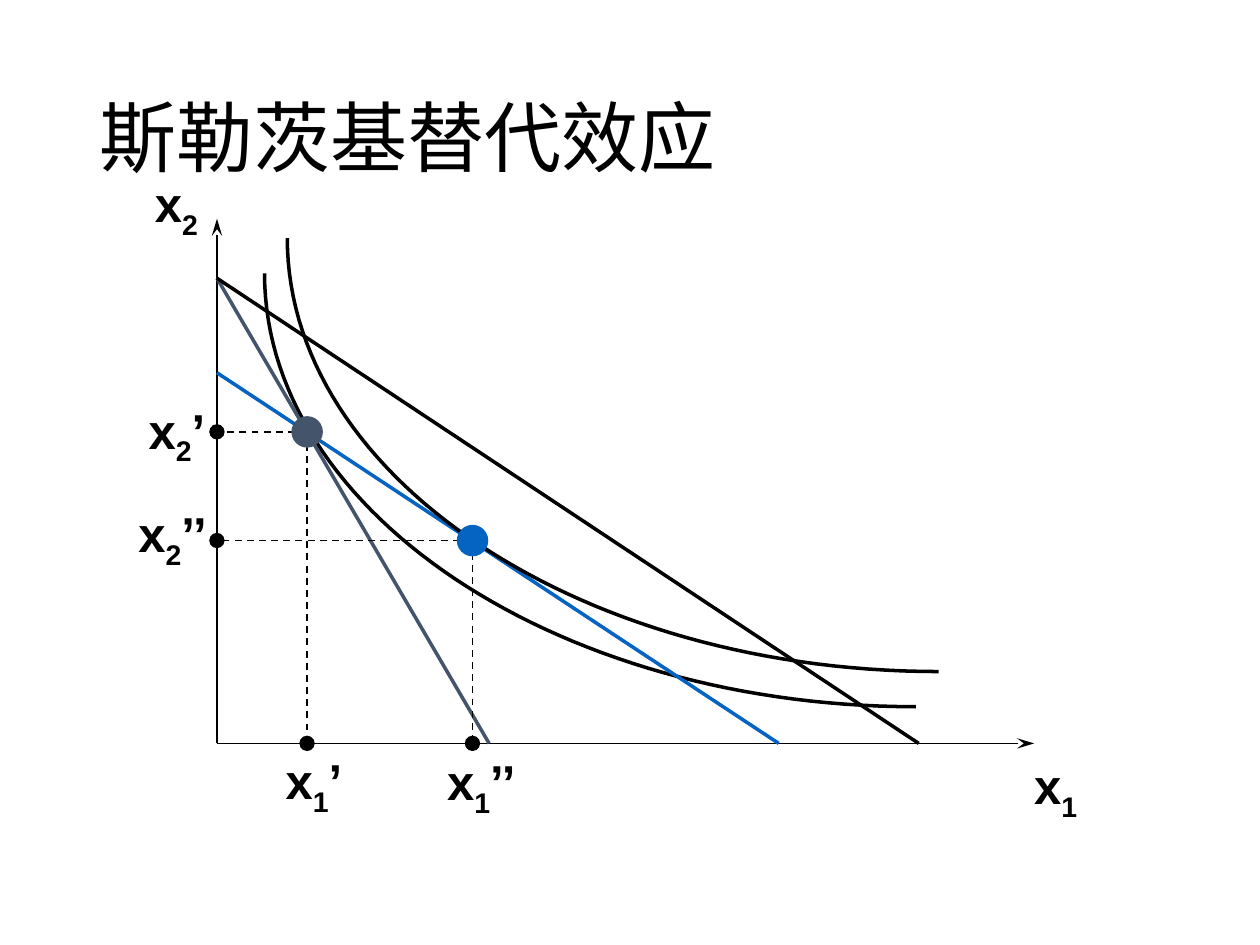
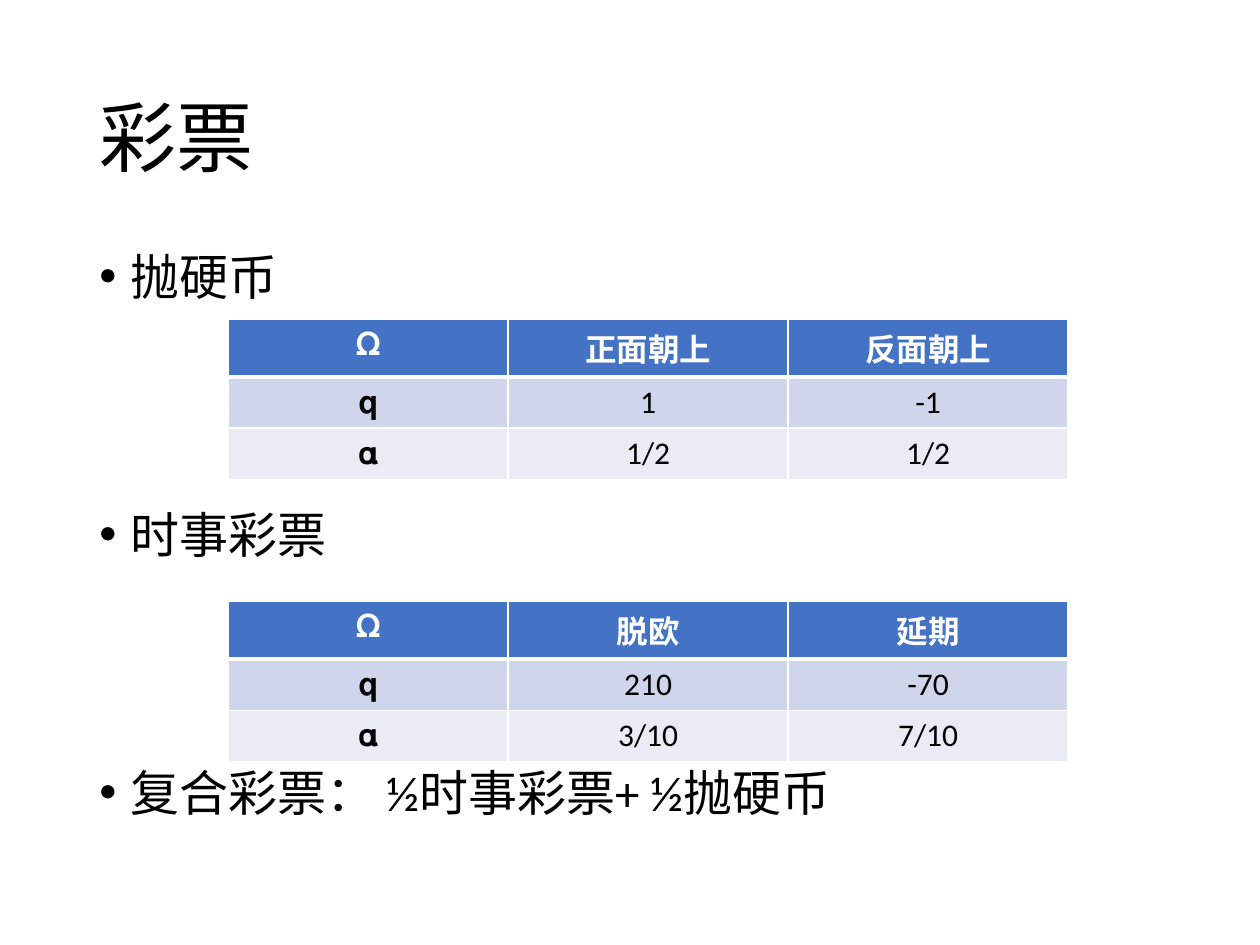
from lxml import etree
from pptx import Presentation
from pptx.dml.color import RGBColor
from pptx.enum.dml import MSO_LINE
from pptx.enum.shapes import MSO_CONNECTOR, MSO_SHAPE
from pptx.enum.text import MSO_ANCHOR, MSO_AUTO_SIZE, PP_ALIGN
from pptx.oxml.ns import qn
from pptx.util import Pt

DASH = MSO_LINE.DASH
LINE = MSO_CONNECTOR.STRAIGHT
OVAL = MSO_SHAPE.OVAL
LEFT, CENTER = PP_ALIGN.LEFT, PP_ALIGN.CENTER
TOP, MIDDLE = MSO_ANCHOR.TOP, MSO_ANCHOR.MIDDLE
GROW, FIXED = MSO_AUTO_SIZE.SHAPE_TO_FIT_TEXT, MSO_AUTO_SIZE.NONE

# Content
COLORS = {"ink": "000000", "slate": "44546A", "blue": "0563C1", "white": "FFFFFF",
          "head": "4472C4", "odd": "CFD5EA", "even": "E9EBF5"}
TITLES = ["斯勒茨基替代效应", "彩票"]
BULLETS = ["抛硬币", "时事彩票", "复合彩票： ½时事彩票+ ½抛硬币"]
TABLES = [
    (182.2, [["𝛀", "正面朝上", "反面朝上"], ["𝐪", "1", "-1"], ["𝛂", "1/2", "1/2"]]),
    (343.4, [["𝛀", "脱欧", "延期"], ["𝐪", "210", "-70"], ["𝛂", "3/10", "7/10"]]),
]

# Graph geometry
AXIS_X, AXIS_Y = 124, 424.8
TIPS = [(AXIS_X, 125), (591, AXIS_Y)]
BUDGETS = [("slate", 159, 279.5), ("ink", 159, 525), ("blue", 213, 445)]
CURVES = [(151.2, 156.2), (164.2, 136.1)]
CURVE_W, CURVE_H = 372.2, 247.7
BENDS = [(1, 1), (0.45, 1), (0, 0.55), (0, 0)]
CHOICES = [("slate", 175.5, 246.8), ("blue", 270, 308.9)]
LABELS = [  # subscript, primes, left, top, width
    ("2", "", 81.4, 95.8, 41), ("1", "", 583.9, 428.4, 41),
    ("2", "’", 77.8, 225.4, 48), ("2", "’’", 72, 284.4, 56),
    ("1", "’", 156.2, 425.5, 48), ("1", "’’", 248.4, 426.2, 56),
]


def color(name):
    return RGBColor.from_string(COLORS[name])


def write(frame, paras, size=28, font="Calibri", tint="ink", bold=False,
          align=LEFT, lead=None, gap=0, bullet=False):
    """Each paragraph is a list of (text, baseline shift) runs."""
    for i, runs in enumerate(paras):
        para = frame.paragraphs[0] if i == 0 else frame.add_paragraph()
        para.alignment = align
        if lead:
            para.line_spacing = lead
        if i and gap:
            para.space_before = Pt(gap)
        if bullet:
            props = para._p.get_or_add_pPr()
            props.set("marL", str(Pt(18)))
            props.set("indent", str(Pt(-18)))
            etree.SubElement(props, qn("a:buFont"), typeface="Arial")
            etree.SubElement(props, qn("a:buChar"), char="•")
        for text, shift in runs:
            run = para.add_run()
            run.text = text
            run.font.size, run.font.name, run.font.bold = Pt(size), font, bold
            run.font.color.rgb = color(tint)
            if shift:
                run._r.get_or_add_rPr().set("baseline", str(shift))


def box(slide, paras, left, top, wide, high, wrap=True, anchor=TOP, fit=FIXED, **form):
    frame = slide.shapes.add_textbox(Pt(left), Pt(top), Pt(wide), Pt(high)).text_frame
    frame.word_wrap, frame.vertical_anchor, frame.auto_size = wrap, anchor, fit
    write(frame, paras, **form)


def line(slide, start, end, tint="ink", width=1, dash=None, arrow=False):
    link = slide.shapes.add_connector(LINE, *map(Pt, start + end))
    link.line.color.rgb, link.line.width = color(tint), Pt(width)
    if dash:
        link.line.dash_style = dash
    if arrow:
        etree.SubElement(link.line._get_or_add_ln(), qn("a:tailEnd"), type="stealth", len="lg")
    etree.SubElement(link._element.spPr, qn("a:effectLst"))


def dot(slide, x, y, size, tint="ink"):
    mark = slide.shapes.add_shape(OVAL, Pt(x - size / 2), Pt(y - size / 2), Pt(size), Pt(size))
    mark.shadow.inherit = False
    mark.fill.solid()
    mark.fill.fore_color.rgb = color(tint)
    mark.line.fill.background()


def curve(slide, left, top, steps=60):
    points = []
    for i in range(steps + 1):
        t = i / steps
        mix = ((1 - t) ** 3, 3 * t * (1 - t) ** 2, 3 * t * t * (1 - t), t ** 3)
        x = left + CURVE_W * sum(m * b[0] for m, b in zip(mix, BENDS))
        y = top + CURVE_H * sum(m * b[1] for m, b in zip(mix, BENDS))
        points.append((Pt(x), Pt(y)))
    pen = slide.shapes.build_freeform(*points[0])
    pen.add_line_segments(points[1:], close=False)
    arc = pen.convert_to_shape()
    arc.shadow.inherit = False
    arc.fill.background()
    arc.line.color.rgb, arc.line.width = color("ink"), Pt(2)


def border(cell, side, width):
    edge = etree.SubElement(cell._tc.get_or_add_tcPr(), qn("a:ln" + side), w=str(Pt(width)))
    fill = etree.SubElement(edge, qn("a:solidFill"))
    etree.SubElement(fill, qn("a:srgbClr"), val=COLORS["white"])


def table(slide, top, rows):
    wide, high = 160, 29.2
    grid = slide.shapes.add_table(len(rows), len(rows[0]), Pt(130.4), Pt(top),
                                  Pt(wide * len(rows[0])), Pt(high * len(rows))).table
    for r, row in enumerate(rows):
        grid.rows[r].height = Pt(high)
        for c, text in enumerate(row):
            cell = grid.cell(r, c)
            thick = {"T": 3 if r == 1 else 1, "B": 3 if r == 0 else 1}
            for side in "LRTB":
                border(cell, side, thick.get(side, 1))
            cell.fill.solid()
            cell.fill.fore_color.rgb = color(("head", "odd", "even")[r])
            write(cell.text_frame, [[(text, 0)]], size=18, align=CENTER,
                  bold=r == 0, tint="ink" if r else "white")


def page(deck, title):
    slide = deck.slides.add_slide(deck.slide_layouts[6])
    box(slide, [[(title, 0)]], 49.7, 28.8, 620.6, 104.4, anchor=MIDDLE, size=44, lead=0.9)
    return slide


def graph(slide):
    # Axes and their labels
    for tip in TIPS:
        line(slide, (AXIS_X, AXIS_Y), tip, arrow=True)
    for sub, prime, left, top, wide in LABELS:
        runs = [("x", 0), (sub, -25000)] + ([(prime, 0)] if prime else [])
        box(slide, [runs], left, top, wide, 41, wrap=False, fit=GROW, font="Arial", bold=True)
    # Indifference curves and budget lines
    curve(slide, *CURVES[0])
    for tint, high, far in BUDGETS:
        line(slide, (AXIS_X, high), (far, AXIS_Y), tint, width=2)
    curve(slide, *CURVES[1])
    # Chosen bundles with their guides
    for tint, x, y in CHOICES:
        feet = [(x, AXIS_Y), (AXIS_X, y)]
        for foot in feet:
            line(slide, (x, y), foot, dash=DASH)
        dot(slide, x, y, 18, tint)
        for foot in feet:
            dot(slide, *foot, 8.8)


def main():
    deck = Presentation()
    deck.slide_width, deck.slide_height = Pt(720), Pt(540)
    graph(page(deck, TITLES[0]))
    slide = page(deck, TITLES[1])
    box(slide, [[(text, 0)] for text in BULLETS], 49.7, 144, 620.6, 342.7,
        lead=0.8, gap=120.5, bullet=True)
    for top, rows in TABLES:
        table(slide, top, rows)
    deck.save("out.pptx")


if __name__ == "__main__":
    main()
